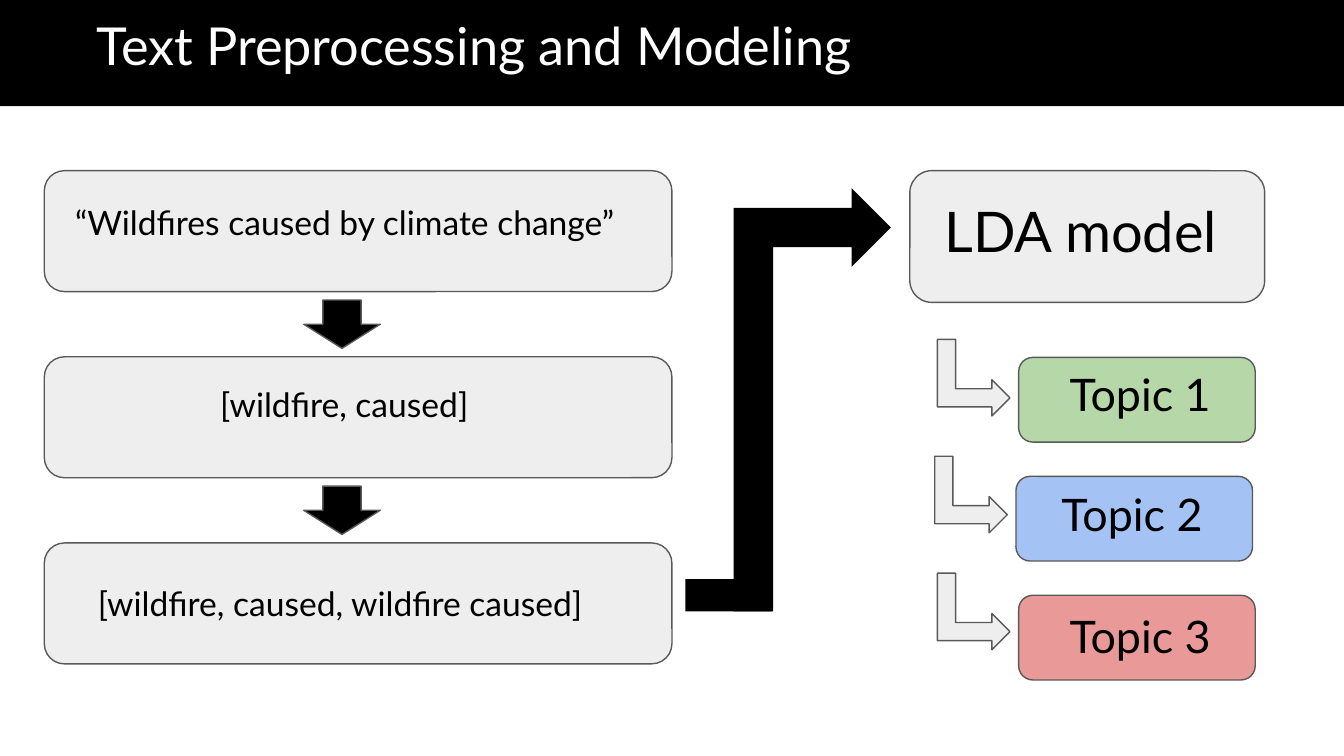
from dataclasses import dataclass

from pptx import Presentation
from pptx.dml.color import RGBColor
from pptx.enum.shapes import MSO_SHAPE as Shape
from pptx.enum.text import MSO_ANCHOR as Anchor, PP_ALIGN as Align
from pptx.util import Inches, Pt


@dataclass(frozen=True)
class Theme:
    font: str = "Lato"
    black: str = "000000"
    white: str = "FFFFFF"
    panel: str = "EEEEEE"
    outline: str = "595959"
    green: str = "B6D7A8"
    blue: str = "A4C2F4"
    red: str = "EA9999"
    title: int = 28
    model: int = 30
    topic: int = 24
    stage: int = 18
    hairline: float = 0.75
    inset: float = 0.1


THEME = Theme()


def add_block(page, kind, left, top, width, height, fill, outline=THEME.outline, rotation=0):
    block = page.shapes.add_shape(
        kind, Inches(left), Inches(top), Inches(width), Inches(height))
    block.shadow.inherit = False
    block.rotation = rotation
    block.fill.solid()
    block.fill.fore_color.rgb = RGBColor.from_string(fill)
    if outline:
        block.line.color.rgb = RGBColor.from_string(outline)
        block.line.width = Pt(THEME.hairline)
    else:
        block.line.fill.background()
    return block


def write_text(shape, text, size, color=THEME.black, indent=0):
    frame = shape.text_frame
    frame.word_wrap = True
    frame.vertical_anchor = Anchor.TOP
    frame.margin_left = frame.margin_right = Inches(THEME.inset)
    frame.margin_top = frame.margin_bottom = Inches(THEME.inset)
    para = frame.paragraphs[0]
    para.alignment = Align.LEFT
    if indent:
        para._p.get_or_add_pPr().set("marL", str(Inches(indent)))
    span = para.add_run()
    span.text = text
    span.font.name = THEME.font
    span.font.size = Pt(size)
    span.font.color.rgb = RGBColor.from_string(color)


def add_label(page, text, left, top, width, height, size):
    label = page.shapes.add_textbox(
        Inches(left), Inches(top), Inches(width), Inches(height))
    write_text(label, text, size)


def add_title(page, left, top, width, height):
    bar = add_block(page, Shape.RECTANGLE, left, top, width, height, THEME.black, outline=None)
    write_text(bar, "Text Preprocessing and Modeling", THEME.title, color=THEME.white, indent=1)


def add_stages(page, left, top, width, height):
    """Stack the preprocessing stages, with a down arrow in each gap."""
    stages = [  # text, then its offset in the panel and its width
        ("“Wildfires caused by climate change”", 0.13, 0.13, 4.42),
        ("[wildfire, caused]", 1.21, 0.1, 2.25),
        ("[wildfire, caused, wildfire caused]", 0.3, 0.2, 4.83),
    ]
    panel_height = 0.9
    pitch = (height - panel_height) / (len(stages) - 1)
    arrow_width, arrow_height = 0.57, 0.36
    for index, (text, dx, dy, text_width) in enumerate(stages):
        y = top + index * pitch
        add_block(page, Shape.ROUNDED_RECTANGLE, left, y, width, panel_height, THEME.panel)
        add_label(page, text, left + dx, y + dy, text_width, 0.63, THEME.stage)
        if index:
            gap_middle = y - (pitch - panel_height) / 2
            add_block(page, Shape.DOWN_ARROW, left + (width - arrow_width) / 2 - 0.12,
                      gap_middle - arrow_height / 2, arrow_width, arrow_height, THEME.black)


def add_feed_arrow(page, left, top, width, height):
    """Lead from the last stage up and across to the model."""
    foot_height = 0.24
    add_block(page, Shape.RECTANGLE, left, top + height - foot_height, 0.64, foot_height,
              THEME.black, outline=None)
    # The arrow is turned a quarter, so its own width runs up the page.
    across = 1.17
    center_x, center_y = left + width - across / 2, top + height / 2
    arrow = add_block(page, Shape.BENT_UP_ARROW, center_x - height / 2, center_y - across / 2,
                      height, across, THEME.black, outline=None, rotation=90)
    arrow.element.spPr.xfrm.set("flipH", "1")


def add_model(page, left, top, width, height):
    add_block(page, Shape.ROUNDED_RECTANGLE, left, top, width, height, THEME.panel)
    add_label(page, "LDA model", left + 0.16, top + 0.09, 2.32, height, THEME.model)


def add_topics(page, left, top, width, height):
    """Stack the topics, each with an elbow arrow leading into it."""
    topics = [  # fill, shift of the row, text offset in the card
        (THEME.green, 0, 0.28, -0.03),
        (THEME.blue, -0.02, 0.24, -0.02),
        (THEME.red, 0, 0.28, 0),
    ]
    card_width, card_height = 1.76, 0.63
    card_pitch = (height - card_height) / (len(topics) - 1)
    arrow_pitch = 0.87
    for index, (fill, shift, dx, dy) in enumerate(topics):
        card_left = left + width - card_width + shift
        y = top + index * card_pitch
        add_block(page, Shape.ROUNDED_RECTANGLE, card_left, y, card_width, card_height, fill)
        add_label(page, f"Topic {index + 1}", card_left + dx, y + dy, 1.33, card_height,
                  THEME.topic)
        add_block(page, Shape.BENT_UP_ARROW, left + shift, top - 0.12 + index * arrow_pitch,
                  0.57, 0.54, THEME.panel, rotation=90)


def main():
    deck = Presentation()
    deck.slide_width = Inches(10)
    deck.slide_height = deck.slide_width * 9 // 16
    page = deck.slides.add_slide(deck.slide_layouts[6])
    add_stages(page, 0.33, 1.27, 4.67, 3.67)
    add_title(page, -0.38, 0, 11.09, 0.79)
    add_feed_arrow(page, 5.1, 1.4, 1.53, 3.15)
    add_model(page, 6.77, 1.27, 2.64, 0.98)
    add_topics(page, 6.96, 2.66, 2.38, 2.4)
    deck.save("out.pptx")


if __name__ == "__main__":
    main()
